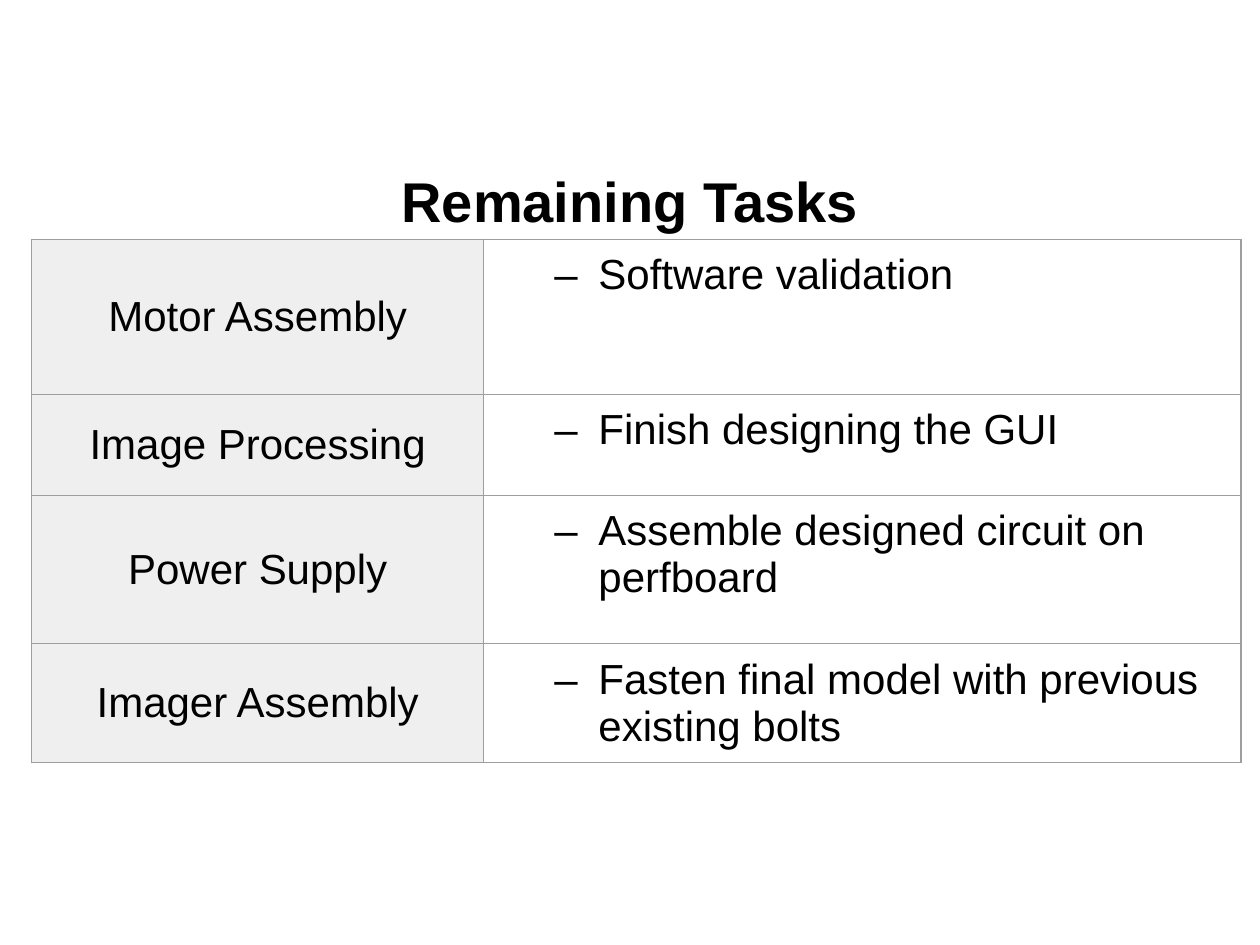
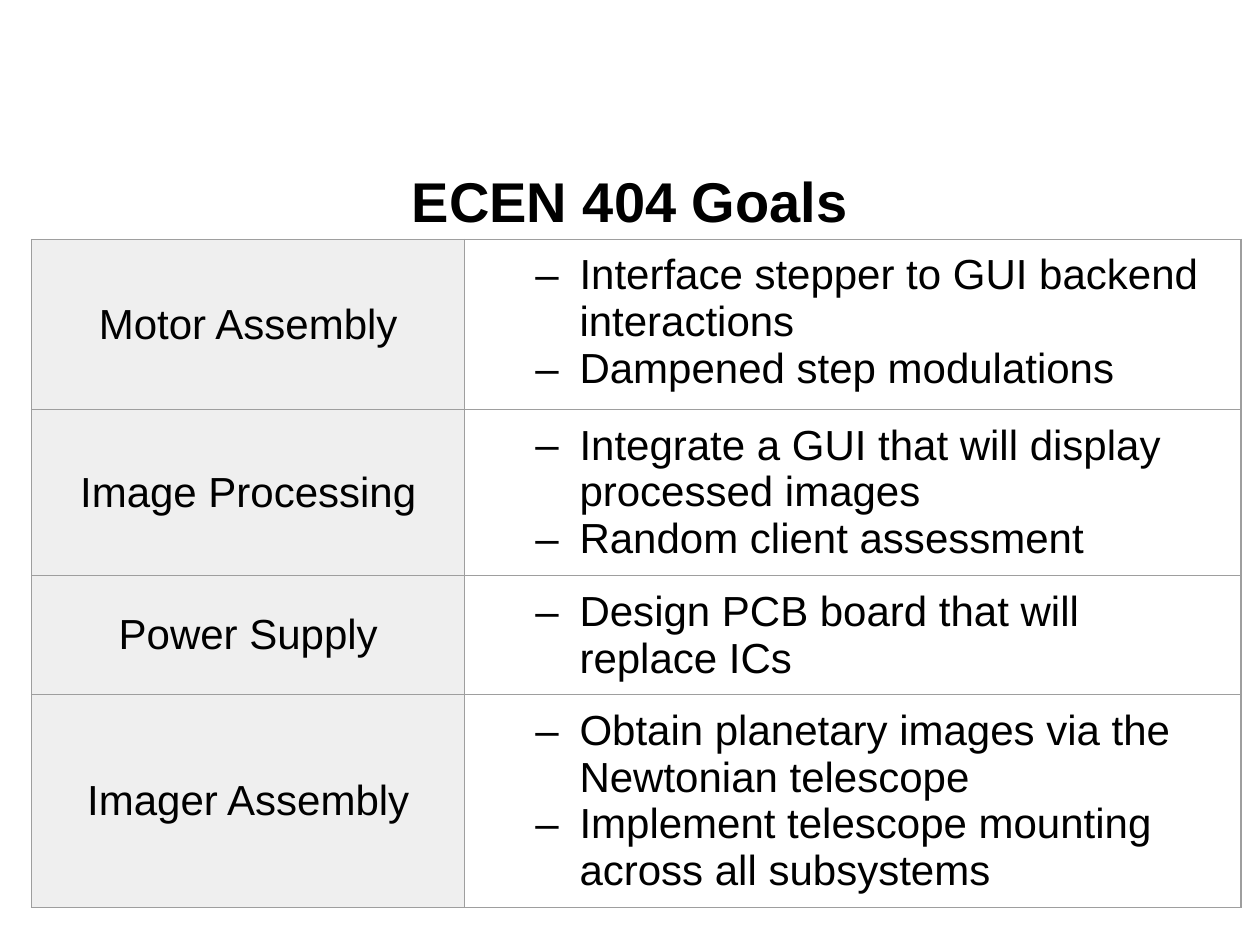
from pptx import Presentation
from pptx.dml.color import RGBColor
from pptx.enum.text import MSO_ANCHOR, PP_ALIGN
from pptx.oxml import parse_xml
from pptx.oxml.ns import nsdecls
from pptx.util import Inches, Pt

MIDDLE, TOP = MSO_ANCHOR.MIDDLE, MSO_ANCHOR.TOP
CENTER, LEFT = PP_ALIGN.CENTER, PP_ALIGN.LEFT

FONT = "Arial"
INK, LABEL, RULE = "000000", "EFEFEF", "9E9E9E"
TITLE_BOX = (0.5, 1.15, 9, 0.88)
TABLE_X, TABLE_Y, TABLE_W = 0.25, 1.9, 9.6
PAD = 0.1

# Each slide: title, label column width, rows of (label, height, tasks)
SLIDES = [
    ("Remaining Tasks", 3.59, [
        ("Motor Assembly", 1.23, ["Software validation"]),
        ("Image Processing", 0.8, ["Finish designing the GUI"]),
        ("Power Supply", 1.18, ["Assemble designed circuit on perfboard"]),
        ("Imager Assembly", 0.94,
         ["Fasten final model with previous existing bolts"]),
    ]),
    ("ECEN 404 Goals", 3.44, [
        ("Motor Assembly", 1.35,
         ["Interface stepper to GUI backend interactions",
          "Dampened step modulations"]),
        ("Image Processing", 1.32,
         ["Integrate a GUI that will display processed images",
          "Random client assessment"]),
        ("Power Supply", 0.94, ["Design PCB board that will replace ICs"]),
        ("Imager Assembly", 1.68,
         ["Obtain planetary images via the Newtonian telescope",
          "Implement telescope mounting across all subsystems"]),
    ]),
]


def color(code):
    return RGBColor.from_string(code)


def style(para, size, align, bold=False):
    para.alignment = align
    font = para.font
    font.name, font.size, font.bold = FONT, Pt(size), bold
    font.color.rgb = color(INK)


def add_dash(para):
    """Give a paragraph a hanging dash at the second level."""
    para.level = 1
    props = para._p.get_or_add_pPr()
    props.set("marL", str(Inches(0.81)))
    props.set("indent", str(Inches(-0.35)))
    for xml in (f'<a:buClr {nsdecls("a")}><a:srgbClr val="{INK}"/></a:buClr>',
                f'<a:buFont {nsdecls("a")} typeface="{FONT}"/>',
                f'<a:buChar {nsdecls("a")} char="–"/>'):
        props.append(parse_xml(xml))


def add_rules(cell):
    """Draw the four borders of a cell."""
    props = cell._tc.get_or_add_tcPr()
    for side in "LRTB":
        props.append(parse_xml(
            f'<a:ln{side} {nsdecls("a")} w="{Pt(0.75)}"><a:solidFill>'
            f'<a:srgbClr val="{RULE}"/></a:solidFill></a:ln{side}>'))


def fill_cell(cell, lines, is_label):
    add_rules(cell)
    if is_label:
        cell.fill.solid()
        cell.fill.fore_color.rgb = color(LABEL)
    else:
        cell.fill.background()
    cell.vertical_anchor = MIDDLE if is_label else TOP
    cell.margin_left = cell.margin_right = Inches(PAD)
    cell.margin_top = cell.margin_bottom = Inches(PAD)
    cell.text = "\n".join(lines)
    for para in cell.text_frame.paragraphs:
        if not is_label:
            add_dash(para)
        style(para, 24, CENTER if is_label else LEFT)


def add_title(slide, text):
    title = slide.shapes.title
    title.left, title.top, title.width, title.height = map(Inches, TITLE_BOX)
    title.text_frame.text = text
    title.text_frame.vertical_anchor = MIDDLE
    style(title.text_frame.paragraphs[0], 32, CENTER, True)


def add_tasks(slide, label_w, rows):
    total = sum(height for _, height, _ in rows)
    box = map(Inches, (TABLE_X, TABLE_Y, TABLE_W, total))
    table = slide.shapes.add_table(len(rows), 2, *box).table
    table.first_row = table.horz_banding = False
    for col, width in zip(table.columns, (label_w, TABLE_W - label_w)):
        col.width = Inches(width)
    for i, (label, height, tasks) in enumerate(rows):
        table.rows[i].height = Inches(height)
        fill_cell(table.cell(i, 0), [label], True)
        fill_cell(table.cell(i, 1), tasks, False)


def main():
    deck = Presentation()
    deck.slide_width, deck.slide_height = Inches(10), Inches(7.5)
    for title, label_w, rows in SLIDES:
        slide = deck.slides.add_slide(deck.slide_layouts[5])
        add_title(slide, title)
        add_tasks(slide, label_w, rows)
    deck.save("out.pptx")


if __name__ == "__main__":
    main()
